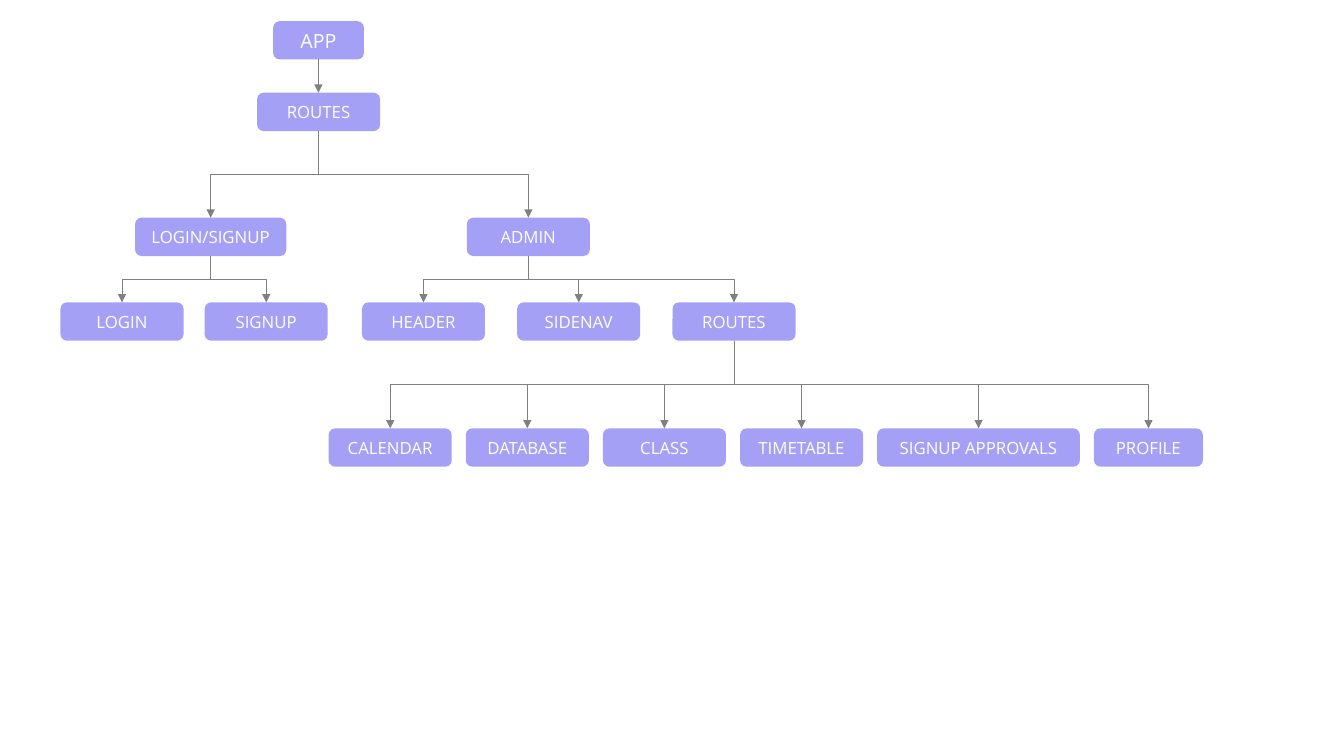
from dataclasses import dataclass
from typing import Optional

from lxml.etree import SubElement
from pptx import Presentation
from pptx.dml.color import RGBColor
from pptx.enum.shapes import MSO_CONNECTOR as Link, MSO_SHAPE as Preset
from pptx.enum.text import MSO_ANCHOR as Anchor, PP_ALIGN as Align
from pptx.oxml.ns import qn
from pptx.shapes.autoshape import Shape
from pptx.util import Inches, Pt

FONT = "Open Sans"
BOX_FILL, TEXT_COLOR, LINE_COLOR = "A4A0F6", "FFFFFF", "808080"
BOX_HEIGHT = 0.38
TOP_SITE, BOTTOM_SITE = 0, 2


@dataclass
class Node:
    """A component box and the row of components below it."""
    label: str
    width: float = 1.22
    size: int = 12
    children: Optional["Row"] = None


@dataclass
class Row:
    """Sibling components laid out from the left with one gap."""
    left: float
    top: float
    gap: float
    nodes: list[Node]


def color(value: str) -> RGBColor:
    """Turn a hex string into a colour."""
    return RGBColor.from_string(value)


def write(box: Shape, text: str, *, size: int, font: str = FONT,
          fill: str = TEXT_COLOR) -> None:
    """Write centred text into a box."""
    frame = box.text_frame
    frame.word_wrap = True
    frame.vertical_anchor = Anchor.MIDDLE
    para = frame.paragraphs[0]
    para.alignment = Align.CENTER
    span = para.add_run()
    span.text = text
    span.font.name = font
    span.font.size = Pt(size)
    span.font.color.rgb = color(fill)


def add_box(page, node: Node, left: float, top: float) -> Shape:
    """Draw one component box."""
    box = page.shapes.add_shape(
        Preset.ROUNDED_RECTANGLE, Inches(left), Inches(top),
        Inches(node.width), Inches(BOX_HEIGHT))
    box.shadow.inherit = False
    box.fill.solid()
    box.fill.fore_color.rgb = color(BOX_FILL)
    box.line.fill.background()
    write(box, node.label, size=node.size)
    return box


def add_arrow(page, parent: Shape, child: Shape) -> None:
    """Link the bottom of a parent to the top of a child."""
    start_x = parent.left + parent.width // 2
    end_x = child.left + child.width // 2
    start_y, end_y = parent.top + parent.height, child.top
    if abs(end_x - start_x) < Inches(0.01):
        end_x = start_x
    kind = Link.CURVE if end_x == start_x else Link.ELBOW
    arrow = page.shapes.add_connector(kind, start_x, start_y, end_x, end_y)
    arrow.begin_connect(parent, BOTTOM_SITE)
    arrow.end_connect(child, TOP_SITE)

    drop, reach = end_y - start_y, abs(end_x - start_x)
    arrow.left = (start_x + end_x - drop) // 2
    arrow.top = (start_y + end_y - reach) // 2
    arrow.width, arrow.height = drop, reach
    leftward = end_x < start_x
    properties = arrow._element.spPr
    frame = properties.find(qn("a:xfrm"))
    frame.set("rot", str((90 if leftward else 270) * 60000))
    frame.set("flipH", "0" if leftward else "1")

    arrow.line.color.rgb = color(LINE_COLOR)
    arrow.line.width = Pt(0.5)
    outline = properties.find(qn("a:ln"))
    SubElement(outline, qn("a:tailEnd"), type="triangle")
    SubElement(properties, qn("a:effectLst"))


def add_row(page, row: Row, parent: Optional[Shape] = None) -> None:
    """Draw a row of components with everything below it."""
    left = row.left
    for node in row.nodes:
        box = add_box(page, node, left, row.top)
        if parent is not None:
            add_arrow(page, parent, box)
        if node.children is not None:
            add_row(page, node.children, box)
        left += node.width + row.gap


PAGES = Row(3.26, 4.25, 0.14, [
    Node("CALENDAR"), Node("DATABASE"), Node("CLASS"), Node("TIMETABLE"),
    Node("SIGNUP APPROVALS", width=2.01), Node("PROFILE", width=1.08)])
ADMIN_PARTS = Row(3.59, 3, 0.32, [
    Node("HEADER"), Node("SIDENAV"), Node("ROUTES", children=PAGES)])
ACCESS_FORMS = Row(0.6, 3, 0.21, [Node("LOGIN"), Node("SIGNUP")])
AREAS = Row(1.34, 2.16, 1.79, [
    Node("LOGIN/SIGNUP", width=1.5, children=ACCESS_FORMS),
    Node("ADMIN", children=ADMIN_PARTS)])
ROUTER = Row(2.55, 0.92, 0, [Node("ROUTES", children=AREAS)])
ROOT = Row(2.71, 0.21, 0, [Node("APP", width=0.9, size=14, children=ROUTER)])

deck = Presentation()
deck.slide_width, deck.slide_height = Inches(13.33), Inches(7.5)
page = deck.slides.add_slide(deck.slide_layouts[6])
add_row(page, ROOT)
deck.save("out.pptx")
